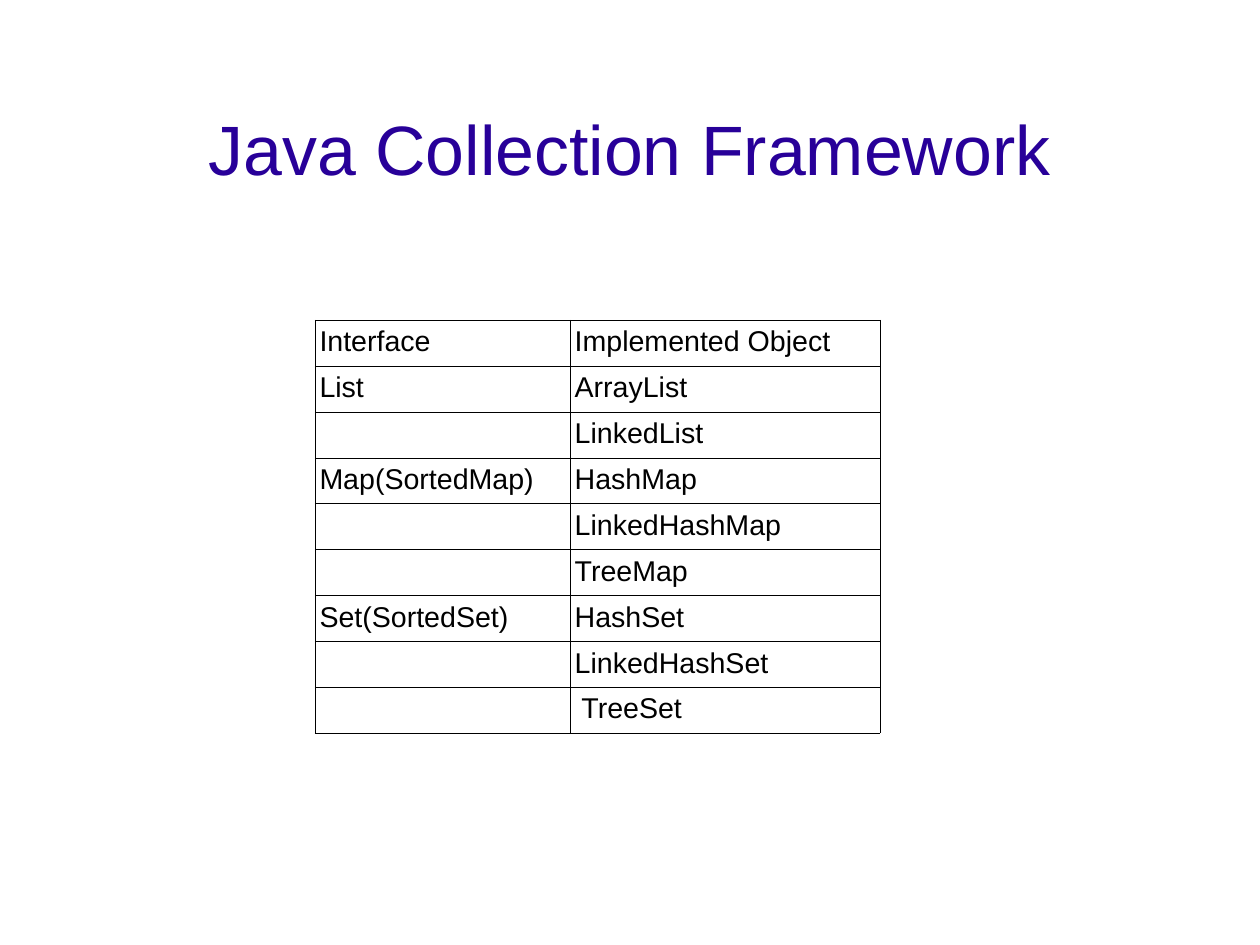
import pptx
import pptx.dml.color
import pptx.enum.text
import pptx.oxml
import pptx.oxml.ns
import pptx.util

Cm = pptx.util.Cm
Pt = pptx.util.Pt

COLORS = {"title": "280099", "text": "000000", "border": "000000", "paper": "FFFFFF"}

COLLECTIONS = [
    ("Interface", ["Implemented Object"]),
    ("List", ["ArrayList", "LinkedList"]),
    ("Map(SortedMap)", ["HashMap", "LinkedHashMap", "TreeMap"]),
    ("Set(SortedSet)", ["HashSet", "LinkedHashSet", "TreeSet"]),
]


def rgb(name):
    return pptx.dml.color.RGBColor.from_string(COLORS[name])


class Deck:
    font = "Arial"
    border_width = Pt(0.06)

    def __init__(self, width, height):
        self.prs = pptx.Presentation()
        self.prs.slide_width = Cm(width)
        self.prs.slide_height = Cm(height)
        self.s = self.prs.slides.add_slide(self.prs.slide_layouts[5])

    def style(self, p, size, color):
        p.font.name = self.font
        p.font.size = Pt(size)
        p.font.color.rgb = rgb(color)

    def title(self, text, x, y, w, h):
        sp = self.s.shapes.title
        sp.left, sp.top, sp.width, sp.height = Cm(x), Cm(y), Cm(w), Cm(h)
        tf = sp.text_frame
        tf.margin_left = tf.margin_right = tf.margin_top = tf.margin_bottom = 0
        tf.vertical_anchor = pptx.enum.text.MSO_ANCHOR.MIDDLE
        tf.auto_size = pptx.enum.text.MSO_AUTO_SIZE.NONE
        tf.text = text
        p = tf.paragraphs[0]
        p.alignment = pptx.enum.text.PP_ALIGN.CENTER
        self.style(p, 44, "title")

    def borders(self, cell):
        tcPr = cell._tc.get_or_add_tcPr()
        for i, side in enumerate("LRTB"):
            ln = pptx.oxml.parse_xml(
                f'<a:ln{side} {pptx.oxml.ns.nsdecls("a")} w="{int(self.border_width)}">'
                f'<a:solidFill><a:srgbClr val="{COLORS["border"]}"/></a:solidFill>'
                f'</a:ln{side}>'
            )
            tcPr.insert(i, ln)

    def cell(self, cell, text, inset):
        cell.margin_left = cell.margin_right = Cm(inset)
        cell.margin_top = cell.margin_bottom = Cm(0.13)
        cell.fill.solid()
        cell.fill.fore_color.rgb = rgb("paper")
        cell.text = text
        self.style(cell.text_frame.paragraphs[0], 18, "text")
        self.borders(cell)

    def table(self, rows, x, y, widths, row_height):
        sp = self.s.shapes.add_table(
            len(rows), len(widths), Cm(x), Cm(y),
            Cm(sum(widths)), Cm(row_height * len(rows)))
        table = sp.table
        table.first_row = table.horz_banding = False
        for column, width in zip(table.columns, widths):
            column.width = Cm(width)
        for r, texts in enumerate(rows):
            table.rows[r].height = Cm(row_height)
            for c, text in enumerate(texts):
                self.cell(table.cell(r, c), text, 0.25 if text == "TreeSet" else 0.1)


def main():
    deck = Deck(28, 21)
    deck.title("Java Collection Framework", 2, 1.65, 24, 3.25)
    rows = [
        (interface if i == 0 else "", name)
        for interface, names in COLLECTIONS
        for i, name in enumerate(names)
    ]
    deck.table(rows, 7, 7.11, [5.67, 6.88], 1.02)
    deck.prs.save("out.pptx")


if __name__ == "__main__":
    main()
